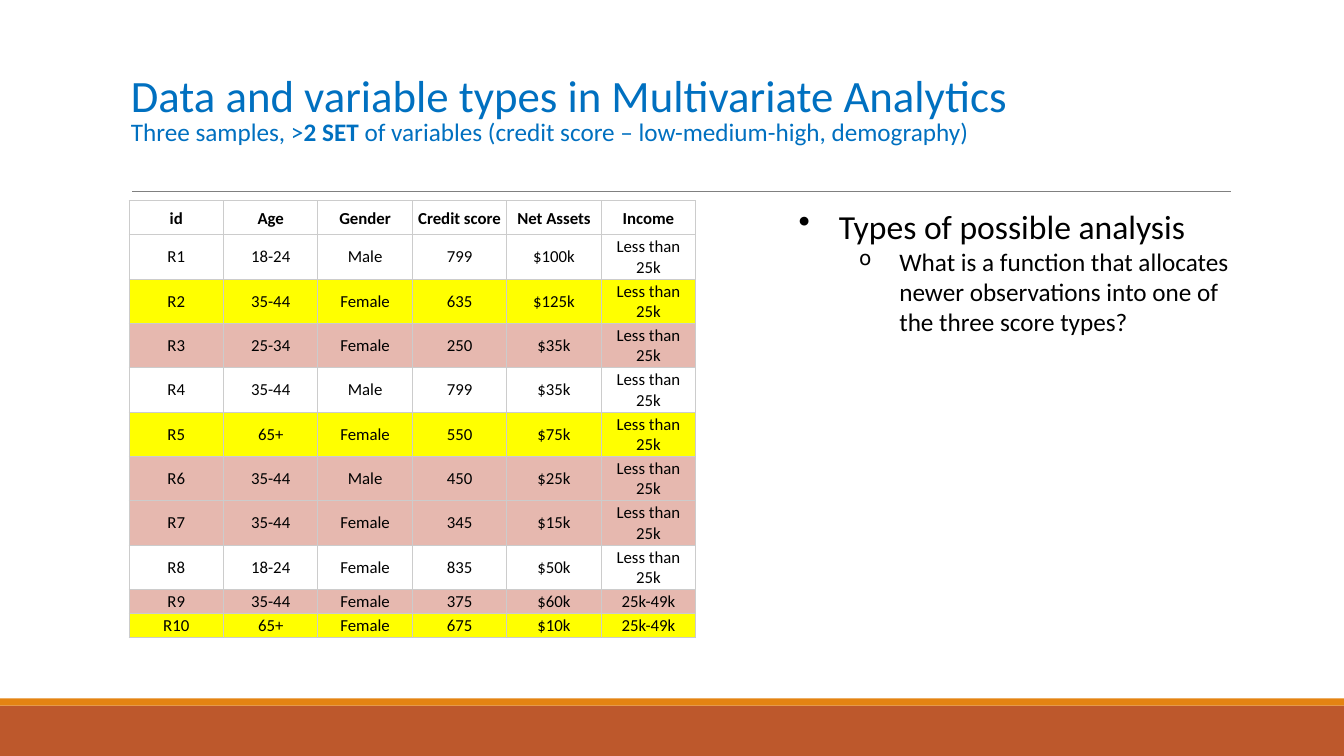
from dataclasses import dataclass
from typing import Any

from lxml.etree import SubElement as Sub
from pptx import Presentation
from pptx.dml.color import RGBColor as RGB
from pptx.enum.shapes import MSO_CONNECTOR as Link, MSO_SHAPE as Form
from pptx.enum.text import MSO_ANCHOR as Anchor, PP_ALIGN as Align
from pptx.oxml import parse_xml
from pptx.oxml.ns import nsdecls, qn
from pptx.util import Inches, Pt

HUES = {
    "rust": "BD582C", "amber": "E48312", "rule": "808080", "blue": "0070C0",
    "ink": "000000", "grid": "CCCCCC", "mid": "FFFF00", "low": "E6B8AF",
}


@dataclass
class Band:
    top: float
    high: float
    hue: str


@dataclass
class Run:
    text: str
    size: float
    bold: bool = False


@dataclass
class Point:
    text: str
    size: float
    level: int
    left: float
    mark: str
    scale: int


@dataclass
class Client:
    age: str
    gender: str
    score: int
    assets: str
    income: str = "Less than 25k"

    def cells(self, rank: int) -> list[str]:
        return [f"R{rank}", self.age, self.gender, str(self.score), self.assets, self.income]

    def hue(self) -> str:
        return "low" if self.score < 500 else "mid" if self.score < 700 else ""


BANDS = [Band(7, 0.5, "rust"), Band(6.93, 0.07, "amber")]
TITLE = [
    Run("Data and variable types in Multivariate Analytics", 32),
    Run("Three samples, >", 18),
    Run("2 SET ", 18, True),
    Run("of variables (credit score – low-medium-high, demography)", 18),
]
POINTS = [
    Point("Types of possible analysis", 24, 1, 1, "•", 100),
    Point("What is a function that allocates newer observations into one of "
          "the three score types?", 18, 4, 1.6, "o", 80),
]
HEADS = ["id", "Age", "Gender", "Credit score", "Net Assets", "Income"]
CLIENTS = [
    Client("18-24", "Male", 799, "$100k"),
    Client("35-44", "Female", 635, "$125k"),
    Client("25-34", "Female", 250, "$35k"),
    Client("35-44", "Male", 799, "$35k"),
    Client("65+", "Female", 550, "$75k"),
    Client("35-44", "Male", 450, "$25k"),
    Client("35-44", "Female", 345, "$15k"),
    Client("18-24", "Female", 835, "$50k"),
    Client("35-44", "Female", 375, "$60k", "25k-49k"),
    Client("65+", "Female", 675, "$10k", "25k-49k"),
]
CELL = {
    "vertical_anchor": Anchor.MIDDLE,
    "margin_left": Inches(0.03), "margin_right": Inches(0.03),
    "margin_top": Inches(0.02), "margin_bottom": Inches(0.02),
}
PLAIN = {"first_row": False, "horz_banding": False}
HEAD = {"word_wrap": True, "vertical_anchor": Anchor.MIDDLE}
BODY = {"word_wrap": True, "margin_left": 0, "margin_right": 0}


def paint(hue: str) -> RGB:
    return RGB.from_string(HUES[hue])


def apply(item: Any, form: dict[str, Any]) -> None:
    for name, value in form.items():
        setattr(item, name, value)


def write(para: Any, run: Run, hue: str = "ink") -> None:
    part = para.add_run()
    part.text = run.text
    apply(part.font, {"name": "Calibri", "size": Pt(run.size), "bold": run.bold})
    part.font.color.rgb = paint(hue)


def frame(slide: Any, box: tuple[float, ...], form: dict[str, Any]) -> Any:
    text = slide.shapes.add_textbox(*map(Inches, box)).text_frame
    apply(text, form)
    return text


def draw_band(slide: Any, band: Band, width: int) -> None:
    shape = slide.shapes.add_shape(
        Form.RECTANGLE, 0, Inches(band.top), width, Inches(band.high))
    shape.shadow.inherit = False
    shape.fill.solid()
    shape.fill.fore_color.rgb = paint(band.hue)
    shape.line.fill.background()


def draw_rule(slide: Any) -> None:
    rule = slide.shapes.add_connector(
        Link.STRAIGHT, *map(Inches, (1.31, 1.9, 12.21, 1.9)))
    rule.line.color.rgb = paint("rule")
    rule.line.width = Pt(0.5)
    Sub(rule._element.spPr, qn("a:effectLst"))


def draw_title(slide: Any) -> None:
    para = frame(slide, (1.2, 0.31, 11, 1.59), HEAD).paragraphs[0]
    para.line_spacing = 0.85
    first, *rest = TITLE
    write(para, first, "blue")
    para.add_line_break()
    for run in rest:
        write(para, run, "blue")


def draw_points(slide: Any) -> None:
    text = frame(slide, (7.32, 1.99, 4.94, 4.32), BODY)
    for rank, point in enumerate(POINTS):
        para = text.add_paragraph() if rank else text.paragraphs[0]
        para.level = point.level
        props = para._p.get_or_add_pPr()
        props.set("marL", str(Inches(point.left)))
        props.set("indent", str(Inches(-0.4)))
        Sub(props, qn("a:buSzPct"), val=str(point.scale * 1000))
        Sub(props, qn("a:buChar"), char=point.mark)
        write(para, Run(point.text, point.size))


def edge(cell: Any) -> None:
    props = cell._tc.get_or_add_tcPr()
    for rank, side in enumerate("LRTB"):
        props.insert(rank, parse_xml(
            f'<a:ln{side} {nsdecls("a")} w="{Pt(0.75)}"><a:solidFill>'
            f'<a:srgbClr val="{HUES["grid"]}"/></a:solidFill></a:ln{side}>'))


def fill_cell(cell: Any, run: Run, hue: str) -> None:
    apply(cell, CELL)
    para = cell.text_frame.paragraphs[0]
    para.alignment = Align.CENTER
    if run.bold:
        para.line_spacing = 1.15
    write(para, run)
    if hue:
        cell.fill.solid()
        cell.fill.fore_color.rgb = paint(hue)
    else:
        cell.fill.background()
    edge(cell)


def draw_table(slide: Any) -> None:
    rows = [(HEADS, "")] + [(c.cells(n), c.hue()) for n, c in enumerate(CLIENTS, 1)]
    table = slide.shapes.add_table(
        len(rows), len(HEADS), *map(Inches, (1.28, 1.99, 5.62, 4.36))).table
    apply(table, PLAIN)
    for y, (texts, hue) in enumerate(rows):
        table.rows[y].height = Inches(0.19 if texts[-1] == "25k-49k" else 0.34)
        for x, text in enumerate(texts):
            fill_cell(table.cell(y, x), Run(text, 12, y == 0), hue)


def main() -> None:
    deck = Presentation()
    apply(deck, {"slide_width": Inches(13.33), "slide_height": Inches(7.5)})
    slide = deck.slides.add_slide(deck.slide_layouts[6])
    for band in BANDS:
        draw_band(slide, band, deck.slide_width)
    draw_rule(slide)
    draw_title(slide)
    draw_points(slide)
    draw_table(slide)
    deck.save("out.pptx")


if __name__ == "__main__":
    main()
